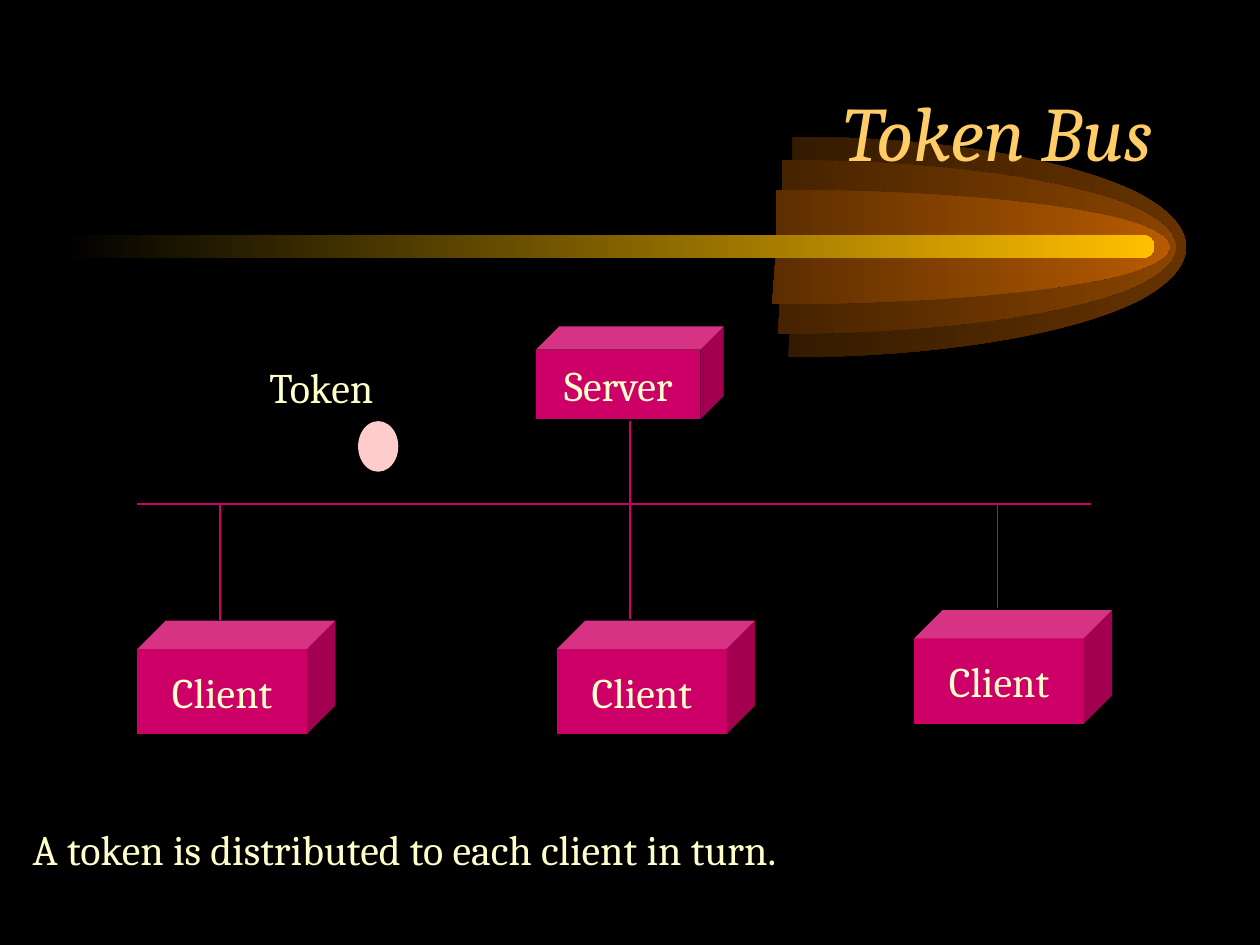
from pptx import Presentation
from pptx.dml.color import RGBColor
from pptx.enum.shapes import MSO_CONNECTOR as CONN, MSO_SHAPE as SHAPE
from pptx.enum.text import MSO_ANCHOR as ANCHOR, PP_ALIGN as ALIGN
from pptx.oxml.ns import qn
from pptx.util import Cm, Pt
from lxml.etree import SubElement

BLACK = RGBColor(0x00, 0x00, 0x00)
GOLD = RGBColor(0xFF, 0xBF, 0x00)
TITLE = RGBColor(0xFF, 0xCC, 0x66)
CREAM = RGBColor(0xFF, 0xFF, 0xCC)
PINK = RGBColor(0xFF, 0xCC, 0xCC)
MAGENTA = RGBColor(0xCC, 0x00, 0x66)
BROWN = RGBColor(0x66, 0x33, 0x00)
RUST = RGBColor(0x89, 0x44, 0x00)
ORANGE = RGBColor(0xB7, 0x5B, 0x00)

# Right half of a unit circle: a start point, then three Bezier curves
HALF_CIRCLE = [
    (0, -1),
    (0.36, -1), (0.69, -0.81), (0.87, -0.5),
    (1.04, -0.19), (1.04, 0.19), (0.87, 0.5),
    (0.69, 0.81), (0.35, 1), (-0.01, 1),
]


def paint(sp, start, end=None):
    """Fill a shape with one colour, or from left to right with two."""
    sp.shadow.inherit = False
    sp.line.fill.background()
    if end is None:
        sp.fill.solid()
        sp.fill.fore_color.rgb = start
        return
    sp.fill.gradient()
    sp.fill.gradient_angle = 0
    for stop, color in zip(sp.fill.gradient_stops, (start, end)):
        stop.color.rgb = color


def write(sp, text, size=24, color=CREAM, align=ALIGN.LEFT,
          anchor=ANCHOR.TOP, wrap=False):
    tf = sp.text_frame
    tf.word_wrap = wrap
    tf.vertical_anchor = anchor
    tf.margin_left = tf.margin_right = Cm(0.25)
    tf.margin_top = tf.margin_bottom = Cm(0.13)
    p = tf.paragraphs[0]
    p.text = text
    p.alignment = align
    p.font.name = "Cambria"
    p.font.size = Pt(size)
    p.font.color.rgb = color
    return p


prs = Presentation()
prs.slide_width, prs.slide_height = Cm(25.4), Cm(19.05)
s = prs.slides.add_slide(prs.slide_layouts[6])
s.background.fill.solid()
s.background.fill.fore_color.rgb = BLACK

# Comet head: three half ellipses, each in the box of its whole ellipse
cy, rx = 4.98, 7.95
for color, cx, ry in [
    (BROWN, 15.98, 2.22), (RUST, 15.77, 1.75), (ORANGE, 15.65, 1.15),
]:
    builder = s.shapes.build_freeform(Cm(cx), Cm(cy))
    builder.add_line_segments(
        [(Cm(cx + rx * x), Cm(cy + ry * y)) for x, y in HALF_CIRCLE])
    sp = builder.convert_to_shape()
    outline = next(sp._element.iter(qn("a:path")))

    # Widen the box to the left and right of the visible half
    left, width = Cm(cx - rx), Cm(2 * rx)
    for pt in outline.iter(qn("a:pt")):
        pt.set("x", str(int(pt.get("x")) + sp.left - left))
    outline.set("w", str(width))
    sp.left, sp.width = left, width

    # Turn each three points after the first into one curve
    lines = outline.findall(qn("a:lnTo"))[1:]
    for i in range(0, 9, 3):
        curve = SubElement(outline, qn("a:cubicBezTo"))
        lines[i].addprevious(curve)
        for ln in lines[i:i + 3]:
            curve.append(ln[0])
            outline.remove(ln)
    paint(sp, BLACK, color)

# Comet tail
sp = s.shapes.add_shape(SHAPE.ROUNDED_RECTANGLE, Cm(1.27), Cm(4.74), Cm(22), Cm(0.46))
sp.adjustments[0] = 0.5
paint(sp, BLACK, GOLD)

# Title
sp = s.shapes.add_textbox(Cm(1.9), Cm(1.05), Cm(21.58), Cm(3.18))
p = write(sp, "Token Bus", 44, TITLE, ALIGN.RIGHT, ANCHOR.MIDDLE, True)
p.font.italic = True

# Bus and the drops to each node
bus_y = 10.16
for x1, y1, x2, y2 in [
    (2.77, bus_y, 22, bus_y),
    (12.7, 8.48, 12.7, 12.47),
    (4.44, 12.5, 4.44, bus_y),
    (20.11, bus_y, 20.11, 12.26),
]:
    line = s.shapes.add_connector(CONN.STRAIGHT, Cm(x1), Cm(y1), Cm(x2), Cm(y2))
    line.line.color.rgb = MAGENTA
    line.line.width = Pt(1)
    SubElement(line._element.spPr, qn("a:effectLst"))

# Nodes
for name, x, y, w, h in [
    ("Server", 10.81, 6.58, 3.78, 1.87),
    ("Client", 2.77, 12.51, 3.99, 2.29),
    ("Client", 11.23, 12.51, 3.99, 2.29),
    ("Client", 18.43, 12.3, 3.99, 2.29),
]:
    sp = s.shapes.add_shape(SHAPE.CUBE, Cm(x), Cm(y), Cm(w), Cm(h))
    paint(sp, MAGENTA)
    write(sp, name, align=ALIGN.CENTER, anchor=ANCHOR.MIDDLE)

# Token
sp = s.shapes.add_shape(SHAPE.OVAL, Cm(7.22), Cm(8.49), Cm(0.81), Cm(1.02))
paint(sp, PINK)

# Token label and caption
for text, x, y, w in [
    ("Token", 5.18, 7.16, 3),
    ("A token is distributed to each client in turn.", 0.41, 16.47, 17.98),
]:
    sp = s.shapes.add_textbox(Cm(x), Cm(y), Cm(w), Cm(1.27))
    write(sp, text, wrap=True)

prs.save("out.pptx")
